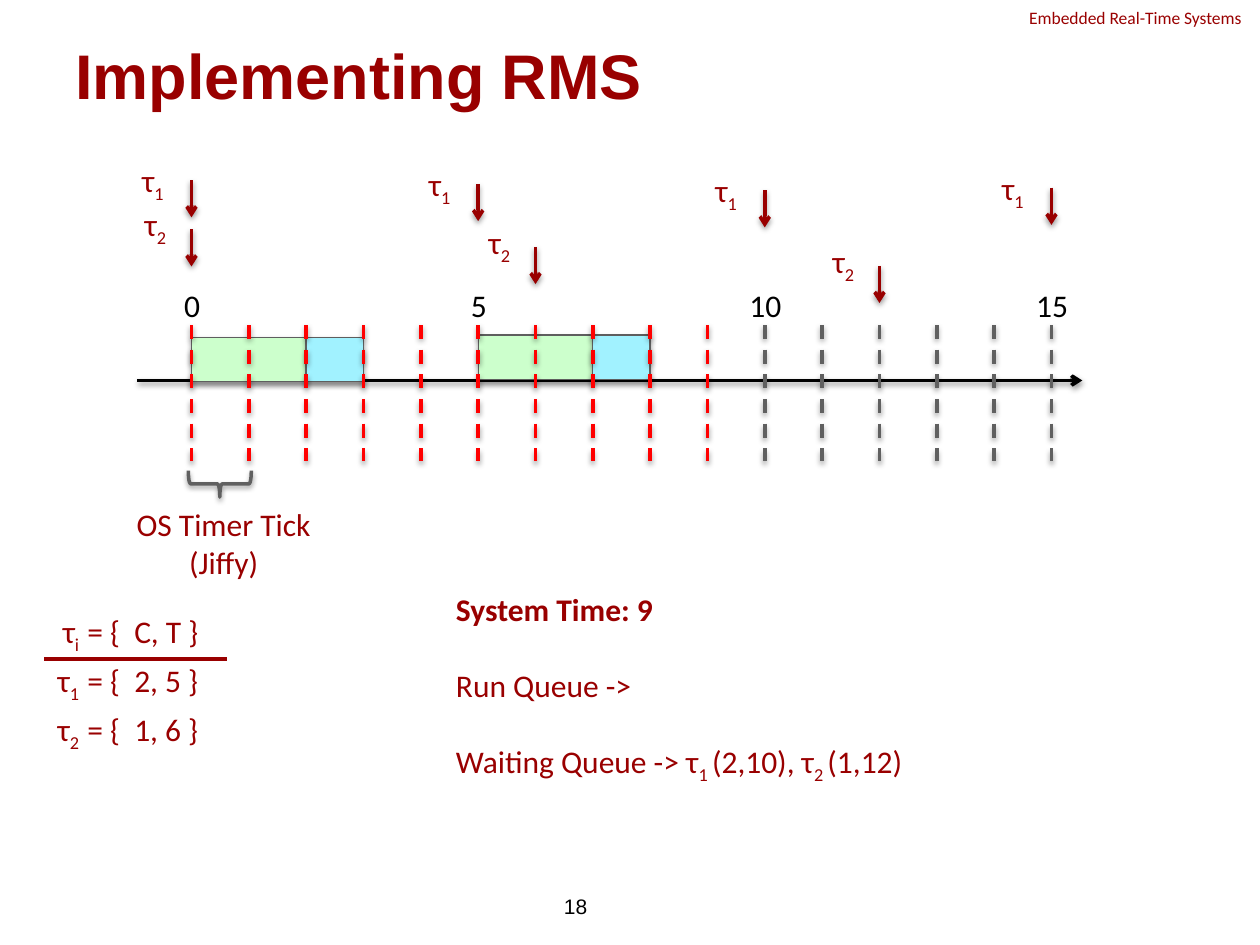
from dataclasses import dataclass
from typing import NamedTuple

from lxml.etree import SubElement as Sub
from pptx import Presentation
from pptx.dml.color import RGBColor as Rgb
from pptx.enum.dml import MSO_LINE as Dash
from pptx.enum.shapes import MSO_CONNECTOR as Link, MSO_SHAPE as Kind
from pptx.enum.text import MSO_ANCHOR as Anchor, PP_ALIGN as Align
from pptx.oxml.ns import qn
from pptx.util import Inches, Pt


@dataclass(frozen=True)
class Theme:
    main: str = "990000"
    ink: str = "000000"
    late: str = "606060"
    past: str = "FF0000"
    edge: str = "5E5E5E"
    green: str = "CCFFCC"
    blue: str = "A1F2FF"
    body: str = "Calibri"
    head: str = "Arial"
    tiny: int = 10
    small: int = 12
    text: int = 18
    title: int = 36
    stroke: float = 2
    hair: float = 0.75


class Box(NamedTuple):
    col: float
    row: float
    cols: float
    rows: float


class Job(NamedTuple):
    task: int
    tick: int
    row: float


class Slot(NamedTuple):
    tick: int
    span: int
    row: float
    fill: str


T = Theme()
COLS = 100
ROWS = 75
NOW = 9
LAST = 15
START, STEP = 15.2, 4.55
TAGS = {1: (-4.9, -2), 2: (-4.7, -2.4)}

JOBS = [
    Job(1, 0, 14.3), Job(1, 5, 14.6), Job(1, 10, 15.1), Job(1, 15, 14.9),
    Job(2, 0, 18.2), Job(2, 6, 19.6), Job(2, 12, 21.1),
]
SLOTS = [
    Slot(0, 2, 26.8, T.green), Slot(2, 1, 26.8, T.blue),
    Slot(5, 2, 26.6, T.green), Slot(7, 1, 26.6, T.blue),
]

deck = Presentation()
deck.slide_width, deck.slide_height = Inches(10), Inches(7.5)
slide = deck.slides.add_slide(deck.slide_layouts[6])


def across(col: float) -> int:
    return round(deck.slide_width * col / COLS)


def down(row: float) -> int:
    return round(deck.slide_height * row / ROWS)


def place(box: Box) -> tuple[int, int, int, int]:
    return across(box.col), down(box.row), across(box.cols), down(box.rows)


def tick_col(tick: int) -> float:
    return START + STEP * tick


def shade(item, alpha: int = 38, dist: float = 1.6) -> None:
    """Cast a soft shadow straight down."""
    props = item._element.spPr
    for old in props.findall(qn("a:effectLst")):
        props.remove(old)
    cast = Sub(Sub(props, qn("a:effectLst")), qn("a:outerShdw"),
               blurRad=str(Pt(3.1)), dist=str(Pt(dist)), dir="5400000", rotWithShape="0")
    tint = Sub(cast, qn("a:srgbClr"), val=T.ink)
    Sub(tint, qn("a:alpha"), val=str(alpha * 1000))


def ink(line, color: str, width: float) -> None:
    line.color.rgb = Rgb.from_string(color)
    line.width = Pt(width)


def rule(start: tuple[float, float], end: tuple[float, float], color: str,
         dash: bool = False, arrow: bool = False, shadow: bool = True) -> None:
    item = slide.shapes.add_connector(
        Link.STRAIGHT, across(start[0]), down(start[1]), across(end[0]), down(end[1]))
    ink(item.line, color, T.stroke)
    if dash:
        item.line.dash_style = Dash.DASH
    if arrow:
        Sub(item.line._get_or_add_ln(), qn("a:tailEnd"), type="arrow")
    if shadow:
        shade(item)
    else:
        Sub(item._element.spPr, qn("a:effectLst"))


def write(box: Box, *lines: str, color: str = T.main, size: int = T.text,
          face: str = T.body, bold: bool = False, gap: float = 0,
          align=Align.LEFT, anchor=Anchor.TOP) -> None:
    """Write one paragraph a line; | splits runs, a leading _ is subscript, a leading * is bold."""
    frame = slide.shapes.add_textbox(*place(box)).text_frame
    frame.word_wrap = True
    frame.vertical_anchor = anchor
    look = {"name": face, "size": Pt(size), "bold": bold}
    for n, line in enumerate(lines):
        para = frame.add_paragraph() if n else frame.paragraphs[0]
        para.alignment = align
        para.space_before = Pt(gap if n else 0)
        for part in line.split("|"):
            run = para.add_run()
            run.text = part.lstrip("_*")
            for key, value in look.items():
                setattr(run.font, key, value)
            run.font.color.rgb = Rgb.from_string(color)
            if part.startswith("*"):
                run.font.bold = True
            if part.startswith("_"):
                run.font._element.set("baseline", "-25000")


def draw_job(job: Job) -> None:
    col = tick_col(job.tick)
    rule((col, job.row), (col, job.row + 2.95), T.main, arrow=True)
    dx, dy = TAGS[job.task]
    write(Box(col + dx, job.row + dy, 4.3, 4), f"τ|_{job.task}")


def draw_slot(slot: Slot) -> None:
    box = Box(tick_col(slot.tick), slot.row, STEP * slot.span, 3.5)
    item = slide.shapes.add_shape(Kind.RECTANGLE, *place(box))
    item.fill.solid()
    item.fill.fore_color.rgb = Rgb.from_string(slot.fill)
    ink(item.line, T.edge, T.hair)
    shade(item, 35, 1.8)


def draw_ticks(ticks: range, color: str) -> None:
    for tick in ticks:
        col = tick_col(tick)
        rule((col, 25.8), (col, 36.6), color, dash=True)


def draw_brace() -> None:
    item = slide.shapes.add_shape(Kind.LEFT_BRACE, *place(Box(16.4, 35.9, 2.1, 5)))
    item.rotation = 270
    item.fill.background()
    ink(item.line, T.late, T.stroke)
    shade(item)


def main() -> None:
    write(Box(80.7, 0.1, 22.7, 2.7), "Embedded Real-Time Systems", size=T.tiny)
    write(Box(5, 3, 90, 5.8), "Implementing RMS", size=T.title, face=T.head,
          bold=True, anchor=Anchor.MIDDLE)
    write(Box(24.3, 69.9, 23.3, 4), "18", color=T.ink, size=T.small, face=T.head,
          align=Align.RIGHT, anchor=Anchor.MIDDLE)

    rule((10.9, 30.2), (85.9, 30.2), T.ink, arrow=True)
    draw_ticks(range(NOW + 1, LAST + 1), T.late)
    for slot in SLOTS:
        draw_slot(slot)
    draw_ticks(range(NOW + 1), T.past)
    for tick in range(0, LAST + 1, 5):
        write(Box(tick_col(tick) - 3.8, 22.2, 7.7, 4), str(tick),
              color=T.ink, align=Align.CENTER)
    for job in JOBS:
        draw_job(job)

    draw_brace()
    write(Box(8.4, 39.6, 18.7, 7.1), "OS Timer Tick (Jiffy)", align=Align.CENTER)
    write(Box(4, 48.1, 14, 4), "τ|_i  |= {  C, T }")
    rule((3.5, 52.3), (18, 52.3), T.main, shadow=False)
    write(Box(3.6, 52, 37.7, 10.1), "τ|_1  |= {  2, 5 }", "τ|_2  |= {  1, 6 }", gap=3)
    write(Box(35.2, 46.3, 44.5, 16.2), "*System Time: 9", "Run Queue ->",
          "Waiting Queue -> τ|_1 |(2,10), τ|_2 |(1,12)", gap=22)
    deck.save("out.pptx")


if __name__ == "__main__":
    main()
